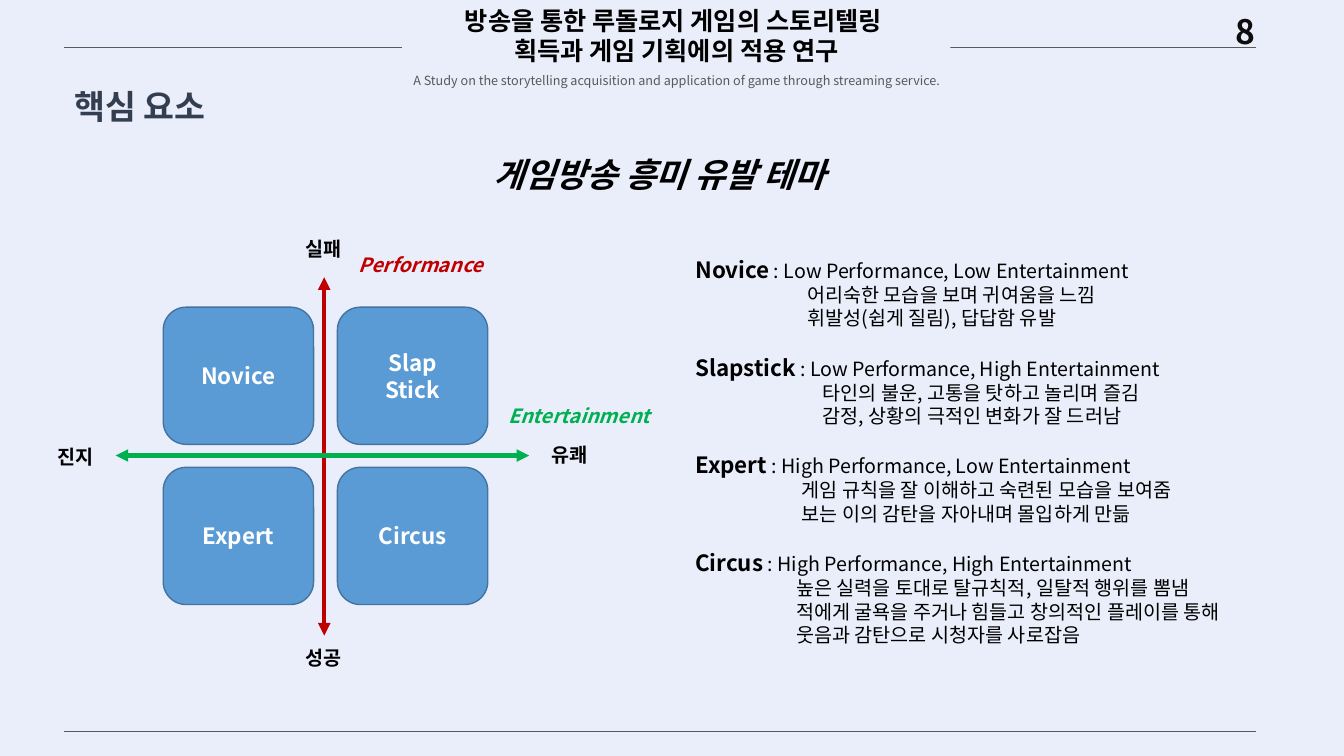
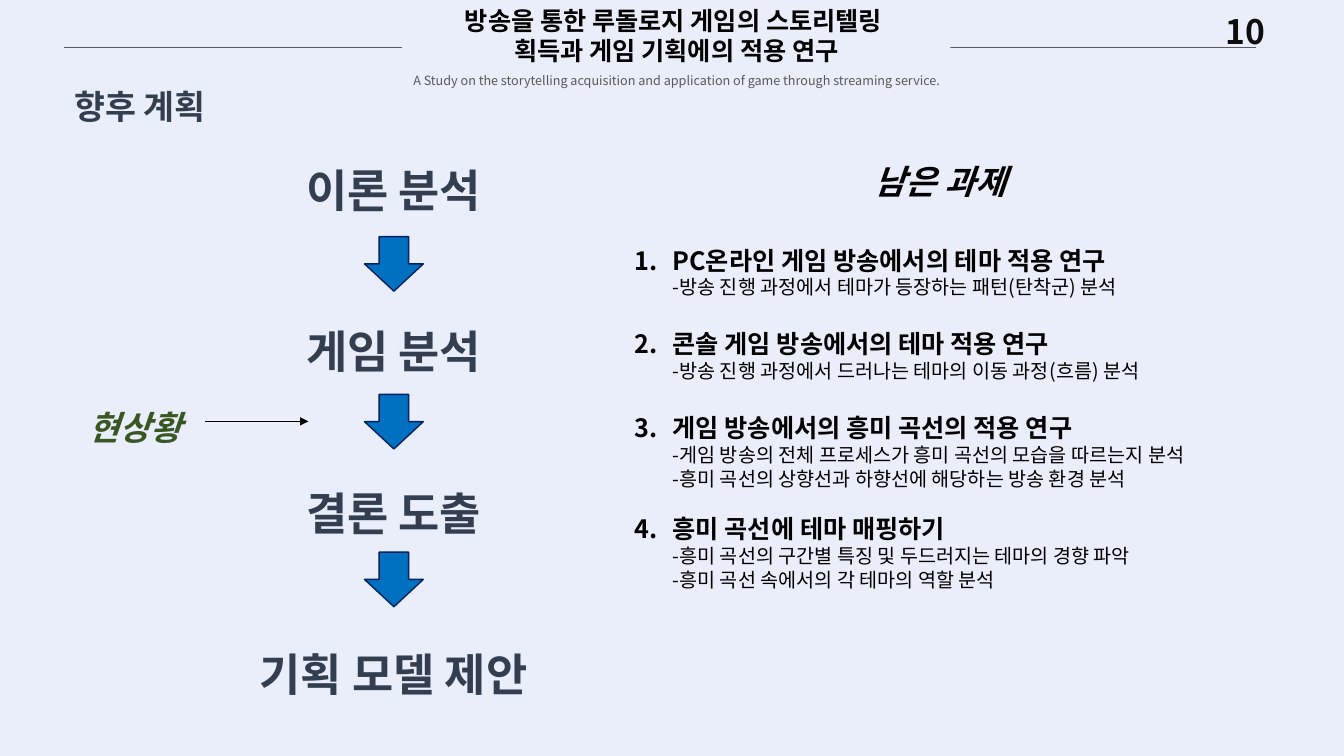
"""Build two research slides on game streaming themes."""
from dataclasses import dataclass
from typing import NamedTuple

from lxml import etree
from pptx import Presentation
from pptx.dml.color import RGBColor
from pptx.enum.shapes import MSO_CONNECTOR, MSO_SHAPE
from pptx.enum.text import MSO_ANCHOR, MSO_AUTO_SIZE, PP_ALIGN
from pptx.oxml.ns import qn
from pptx.util import Pt

STRAIGHT = MSO_CONNECTOR.STRAIGHT
RECTANGLE = MSO_SHAPE.RECTANGLE
ROUNDED = MSO_SHAPE.ROUNDED_RECTANGLE
DOWN_ARROW = MSO_SHAPE.DOWN_ARROW
TOP, MIDDLE = MSO_ANCHOR.TOP, MSO_ANCHOR.MIDDLE
LEFT, CENTER = PP_ALIGN.LEFT, PP_ALIGN.CENTER
FIXED = MSO_AUTO_SIZE.NONE
TITLE_ONLY = 5


class Type(NamedTuple):
    size: float
    color: str
    bold: bool = False
    italic: bool = False


@dataclass(frozen=True)
class Theme:
    font: str = "Noto Sans CJK KR"
    paper: str = "EAEEFA"
    rule: str = "595959"
    ink: str = "000000"
    tile: str = "5B9BD5"
    tile_edge: str = "43739E"
    performance: str = "C00000"
    entertainment: str = "00B050"
    step: str = "0070C0"
    step_edge: str = "002060"
    title: Type = Type(24, "333F50", True)
    number: Type = Type(24, "0D0D0D", True)
    study: Type = Type(18, "000000", True)
    subtitle: Type = Type(9, "595959")
    heading: Type = Type(24, "000000", True, True)
    status: Type = Type(24, "385723", True, True)
    stage: Type = Type(32, "333F50", True)
    tile_text: Type = Type(16, "FFFFFF", True)
    axis_end: Type = Type(14, "000000", True)
    performance_name: Type = Type(14, "C00000", True, True)
    entertainment_name: Type = Type(14, "00B050", True, True)
    term: Type = Type(16, "000000", True)
    task: Type = Type(18, "000000", True)
    body: Type = Type(14, "000000")


class Slides:
    def __init__(self, theme):
        self.theme = theme
        self.deck = Presentation()
        self.deck.slide_width, self.deck.slide_height = Pt(960), Pt(540)
        self.paint(self.deck.slide_master.background, theme.paper)
        self.page = None

    def paint(self, target, color):
        target.fill.solid()
        target.fill.fore_color.rgb = RGBColor.from_string(color)

    def start(self, title, number):
        theme = self.theme
        self.page = self.deck.slides.add_slide(self.deck.slide_layouts[TITLE_ONLY])
        self.text((831.5, 4.5, 116, 29), number, theme.number, CENTER)
        self.line((46, 33.8), (897, 33.8), theme.rule, 0.5)
        box = self.page.shapes.title
        box.left, box.top, box.width, box.height = map(Pt, (46, 46, 141, 45.5))
        frame = self.frame(box, MIDDLE)
        self.add_para(frame, [(title, theme.title)], leading=1.5)
        band = self.shape(RECTANGLE, (287.3, 0, 391.7, 67), theme.paper)
        frame = self.frame(band, TOP)
        self.add_para(frame, [("방송을 통한 루돌로지 게임의 스토리텔링 \n획득과 게임 기획에의 적용 연구",
                               theme.study)], CENTER)
        self.add_para(frame, [("A Study on the storytelling acquisition and application of game "
                               "through streaming service.", theme.subtitle)], CENTER, 1.5)

    def frame(self, box, anchor):
        frame = box.text_frame
        frame.word_wrap = True
        frame.auto_size = FIXED
        frame.vertical_anchor = anchor
        return frame

    def add_para(self, frame, spans, align=LEFT, leading=1.0, before=0, indent=0, numbered=False):
        para = frame.paragraphs[0]
        if para.runs:
            para = frame.add_paragraph()
        para.alignment = align
        para.line_spacing = leading
        para.space_before = Pt(before)
        layout = para._p.get_or_add_pPr()
        if indent:
            layout.set("marL", str(Pt(indent)))
        if numbered:
            layout.set("indent", str(Pt(-indent)))
            etree.SubElement(layout, qn("a:buAutoNum"), type="arabicPeriod")
        for text, style in spans:
            for index, part in enumerate(text.split("\n")):
                if index:
                    para.add_line_break()
                    etree.SubElement(para._p[-1], qn("a:rPr"), sz=str(style.size * 100))
                if part:
                    self.add_span(para, part, style)

    def add_span(self, para, text, style):
        span = para.add_run()
        span.text = text
        font = span.font
        font.name, font.size = self.theme.font, Pt(style.size)
        font.bold, font.italic = style.bold, style.italic
        font.color.rgb = RGBColor.from_string(style.color)
        etree.SubElement(font._element, qn("a:ea"), typeface=self.theme.font)

    def box(self, area, anchor=TOP):
        return self.frame(self.page.shapes.add_textbox(*map(Pt, area)), anchor)

    def text(self, area, text, style, align=LEFT, leading=1.0, anchor=TOP):
        self.add_para(self.box(area, anchor), [(text, style)], align, leading)

    def shape(self, kind, area, fill, edge=None):
        shape = self.page.shapes.add_shape(kind, *map(Pt, area))
        shape.shadow.inherit = False
        self.paint(shape, fill)
        if edge:
            shape.line.color.rgb = RGBColor.from_string(edge)
            shape.line.width = Pt(1)
        else:
            shape.line.fill.background()
        return shape

    def tile(self, area, lines):
        theme = self.theme
        frame = self.frame(self.shape(ROUNDED, area, theme.tile, theme.tile_edge), MIDDLE)
        for line in lines:
            self.add_para(frame, [(line, theme.tile_text)], CENTER)

    def line(self, start, end, color, width, heads=()):
        line = self.page.shapes.add_connector(STRAIGHT, *map(Pt, start + end))
        line.line.color.rgb = RGBColor.from_string(color)
        line.line.width = Pt(width)
        for head in heads:
            etree.SubElement(line.line._get_or_add_ln(), qn(f"a:{head}"), type="triangle")
        etree.SubElement(line._element.spPr, qn("a:effectLst"))


def build_themes(slides):
    """Draw the theme matrix and its four descriptions."""
    theme = slides.theme
    slides.start("핵심 요소", "8")
    slides.line((46, 522.5), (897, 522.5), theme.rule, 0.5)
    tiles = [["Novice"], ["Slap", "Stick"], ["Expert"], ["Circus"]]
    for index, lines in enumerate(tiles):
        row, column = divmod(index, 2)
        slides.tile((116.6 + 124.4 * column, 219.4 + 114.4 * row, 107.4, 98), lines)
    both = ("headEnd", "tailEnd")
    slides.line((231.6, 198), (231.6, 454), theme.performance, 3, both)
    slides.line((378, 325.4), (82.6, 325.4), theme.entertainment, 3, both)
    labels = [
        ((165, 165.6, 132.5, 32), "실패", theme.axis_end),
        ((25, 314, 57.6, 32), "진지", theme.axis_end),
        ((165, 458, 132.5, 32), "성공", theme.axis_end),
        ((378, 312.5, 57.6, 32), "유쾌", theme.axis_end),
        ((232, 177, 137.5, 32), "Performance", theme.performance_name),
        ((331.2, 285.2, 165, 32), "Entertainment", theme.entertainment_name),
    ]
    for area, label, style in labels:
        slides.text(area, label, style, CENTER)
    slides.text((314, 91.4, 314.6, 51), "게임방송 흥미 유발 테마", theme.heading, CENTER, 1.5, MIDDLE)

    descriptions = [
        ("Novice", "Low Performance, Low Entertainment", 80,
         ["어리숙한 모습을 보며 귀여움을 느낌", "휘발성(쉽게 질림), 답답함 유발"]),
        ("Slapstick", "Low Performance, High Entertainment", 91,
         ["타인의 불운, 고통을 탓하고 놀리며 즐김", "감정, 상황의 극적인 변화가 잘 드러남"]),
        ("Expert", "High Performance, Low Entertainment", 76,
         ["게임 규칙을 잘 이해하고 숙련된 모습을 보여줌", "보는 이의 감탄을 자아내며 몰입하게 만듦"]),
        ("Circus", "High Performance, High Entertainment", 72,
         ["높은 실력을 토대로 탈규칙적, 일탈적 행위를 뽐냄",
          "적에게 굴욕을 주거나 힘들고 창의적인 플레이를 통해",
          "웃음과 감탄으로 시청자를 사로잡음"]),
    ]
    frame = slides.box((489.6, 179.3, 450.7, 298))
    for index, (term, levels, indent, details) in enumerate(descriptions):
        slides.add_para(frame, [(term, theme.term), (f" : {levels}", theme.body)],
                        before=17 if index else 0)
        for detail in details:
            slides.add_para(frame, [(detail, theme.body)], indent=indent)


def build_plan(slides):
    """Draw the research stages and the remaining tasks."""
    theme = slides.theme
    slides.start("향후 계획", "10")
    frame = slides.box((142.6, 91.4, 277.2, 414.7), MIDDLE)
    for index, stage in enumerate(["이론 분석", "게임 분석", "결론 도출", "기획 모델 제안"]):
        slides.add_para(frame, [(stage, theme.stage)], CENTER, 1.5, 57.5 if index else 0)
    for index in range(3):
        slides.shape(DOWN_ARROW, (260.4, 169 + 112.7 * index, 42, 39), theme.step, theme.step_edge)
    slides.line((146.8, 301), (220.3, 301), theme.ink, 0.5, ("tailEnd",))
    slides.text((46, 275, 100.8, 45.4), "현상황", theme.status, CENTER, 1.5, MIDDLE)
    slides.text((446.4, 111.6, 450.7, 36), "남은 과제", theme.heading, CENTER)

    tasks = [
        (0, "PC온라인 게임 방송에서의 테마 적용 연구",
         "-방송 진행 과정에서 테마가 등장하는 패턴(탄착군) 분석"),
        (21.5, "콘솔 게임 방송에서의 테마 적용 연구",
         "-방송 진행 과정에서 드러나는 테마의 이동 과정(흐름) 분석"),
        (21.5, "게임 방송에서의 흥미 곡선의 적용 연구",
         "-게임 방송의 전체 프로세스가 흥미 곡선의 모습을 따르는지 분석\n"
         "-흥미 곡선의 상향선과 하향선에 해당하는 방송 환경 분석"),
        (17, "흥미 곡선에 테마 매핑하기",
         "-흥미 곡선의 구간별 특징 및 두드러지는 테마의 경향 파악\n"
         "-흥미 곡선 속에서의 각 테마의 역할 분석"),
    ]
    frame = slides.box((446.4, 171.4, 450.7, 262))
    for gap, task, details in tasks:
        slides.add_para(frame, [(f"{task}\n", theme.task), (details, theme.body)],
                        before=gap, indent=27, numbered=True)


def main():
    """Build both slides and save the deck."""
    slides = Slides(Theme())
    build_themes(slides)
    build_plan(slides)
    slides.deck.save("out.pptx")


if __name__ == "__main__":
    main()
